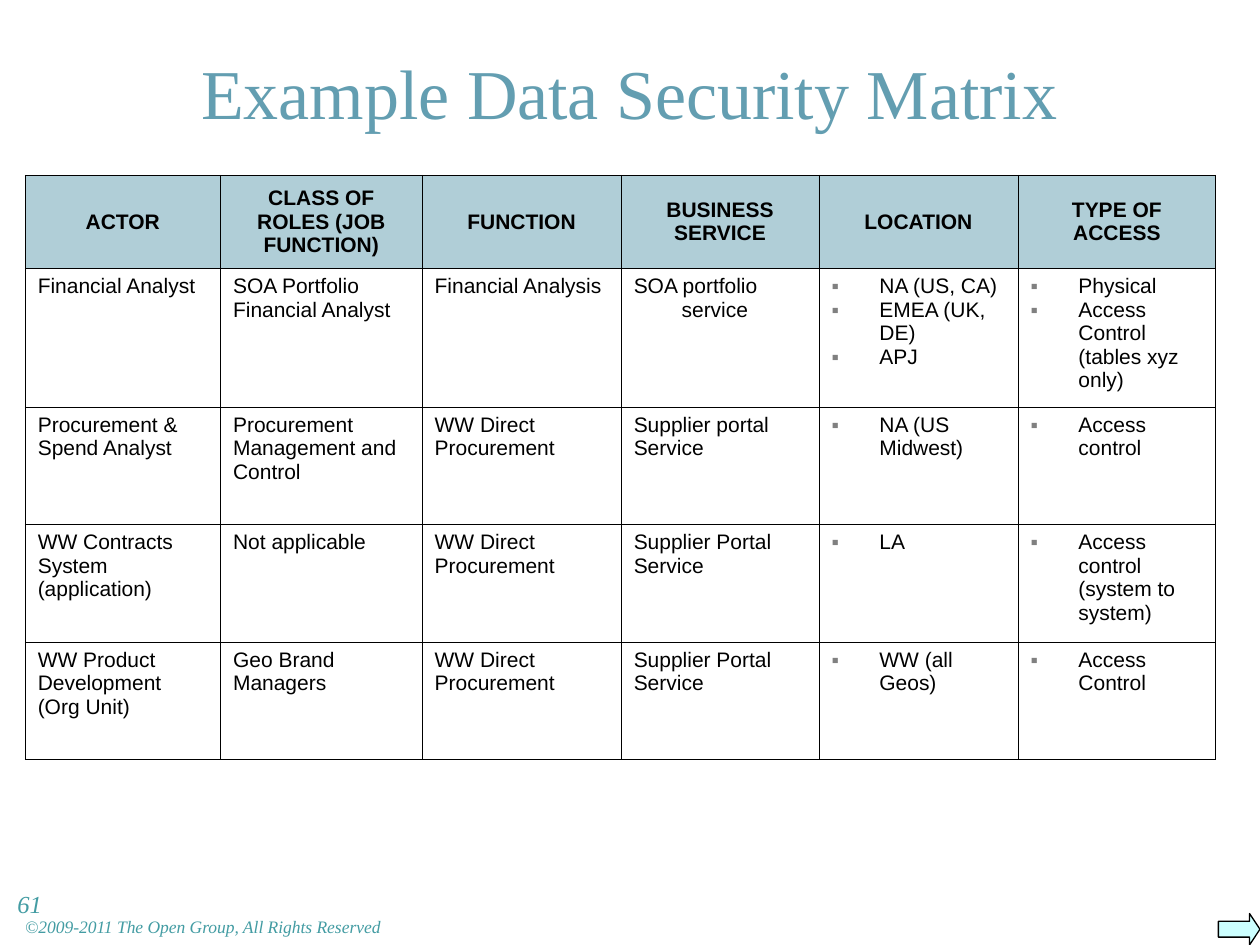
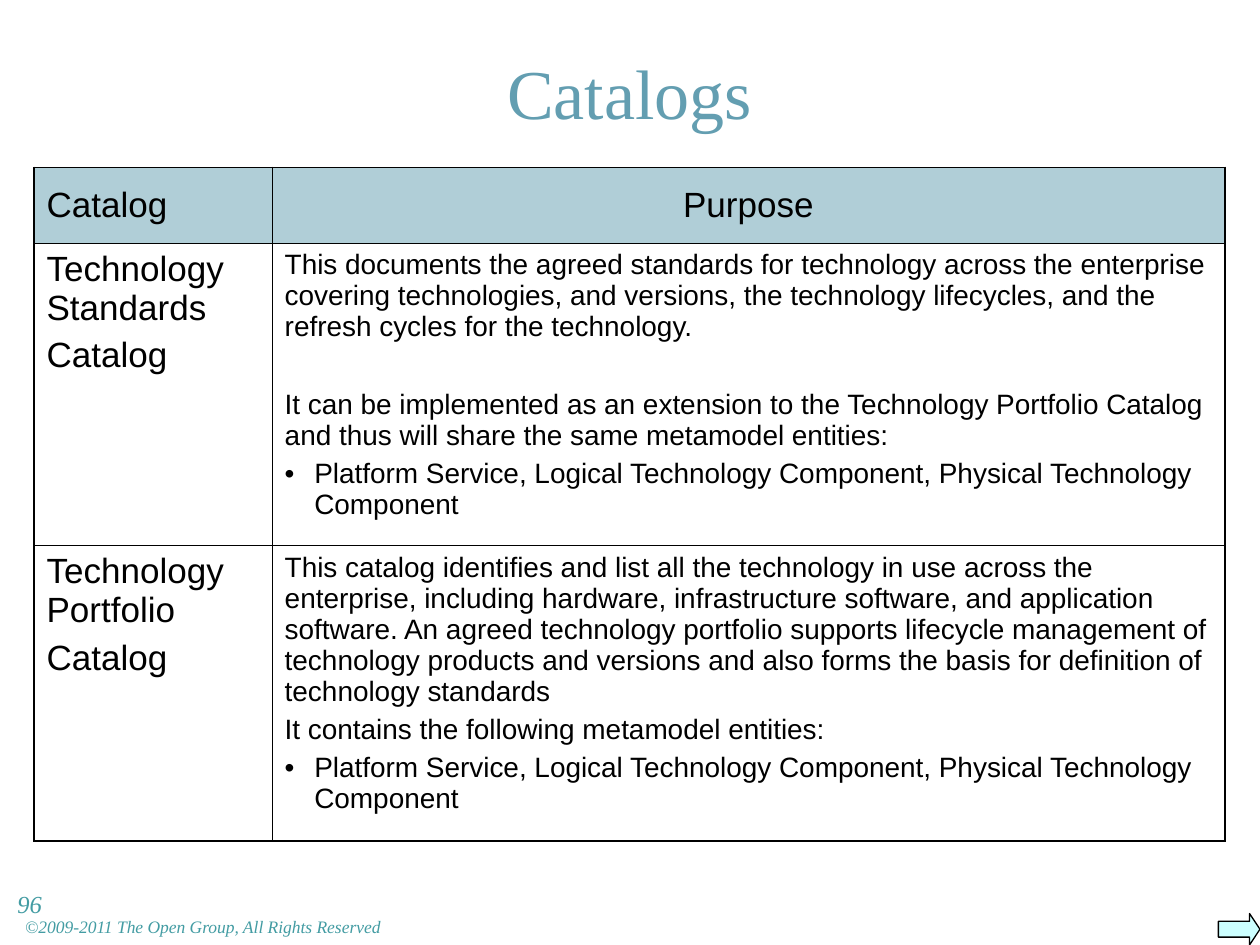
from lxml.etree import SubElement
from pptx import Presentation
from pptx.dml.color import RGBColor
from pptx.enum.shapes import MSO_SHAPE as Shape
from pptx.enum.text import MSO_ANCHOR as Anchor, PP_ALIGN as Align
from pptx.oxml import parse_xml
from pptx.oxml.ns import nsdecls, qn
from pptx.util import Inches, Pt

# Colours
BLUE = RGBColor(0x63, 0x9E, 0xB1)
TEAL = RGBColor(0x43, 0x9C, 0xA3)
AQUA = RGBColor(0xCC, 0xFF, 0xFF)
GREY = RGBColor(0x80, 0x80, 0x80)
BLACK = RGBColor(0, 0, 0)

# Grid of square units
COLUMNS, ROWS = 100, 75
WIDTH, HEIGHT = Inches(10), Inches(7.5)

# Text formats: "font" and "para" hold attributes, "hang" is in columns
SERIF, SANS = "Times New Roman", "Arial"
TITLE = {"font": {"name": SERIF, "size": Pt(40)}, "colour": BLUE,
         "para": {"alignment": Align.CENTER}}
COPYRIGHT = {"font": {"name": SERIF, "size": Pt(10), "italic": True}, "colour": TEAL}
NUMBER = {"font": {"name": SERIF, "size": Pt(14), "italic": True}, "colour": TEAL}

MATRIX_TEXT = {"font": {"name": SANS, "size": Pt(12)}, "hang": 3.8}
MATRIX_LIST = MATRIX_TEXT | {"bullet": ("▪", GREY)}
MATRIX_HEAD = {"font": {"name": SANS, "size": Pt(12), "bold": True},
               "para": {"alignment": Align.CENTER}}

CATALOG_NAME = {"font": {"name": SANS, "size": Pt(20)}, "para": {"space_before": Pt(5)}}
CATALOG_HEAD = CATALOG_NAME | {"para": {"alignment": Align.CENTER}}
PURPOSE = {"font": {"name": SANS, "size": Pt(16)}, "para": {"space_before": Pt(4)}}
PURPOSE_APART = PURPOSE | {"para": {"space_before": Pt(26.4)}}
PURPOSE_LIST = PURPOSE | {"hang": 2.35, "bullet": ("•", BLACK)}


def styled(style, *lines):
    """Pair each line with one text format."""
    return [(line, style) for line in lines]


class Deck:
    def __init__(self):
        self.file = Presentation()
        self.file.slide_width, self.file.slide_height = WIDTH, HEIGHT
        self.page = None

    def x(self, columns):
        return round(WIDTH * columns / COLUMNS)

    def y(self, rows):
        return round(HEIGHT * rows / ROWS)

    def area(self, left, top, width, height):
        return self.x(left), self.y(top), self.x(width), self.y(height)

    def add_page(self, title, number):
        self.page = self.file.slides.add_slide(self.file.slide_layouts[6])
        self.text((2.7, -0.1, 94.5, 14.8), title, TITLE, anchor=Anchor.MIDDLE)
        self.next_arrow()
        self.text((2, 72.2, 73.2, 2.4), "©2009-2011 The Open Group, All Rights Reserved",
                  COPYRIGHT, inset=0)
        self.text((0.4, 70.1, 11.8, 5.2), str(number), NUMBER)

    def text(self, area, words, style, anchor=Anchor.TOP, inset=1):
        frame = self.page.shapes.add_textbox(*self.area(*area)).text_frame
        frame.word_wrap = True
        frame.vertical_anchor = anchor
        frame.margin_left = self.x(inset)
        self.set_lines(frame, styled(style, words))

    def next_arrow(self):
        arrow = self.page.shapes.add_shape(Shape.RIGHT_ARROW,
                                           *self.area(96.7, 72.5, 3.3, 2.5))
        arrow.adjustments[1] = 0.33
        arrow.shadow.inherit = False
        arrow.fill.solid()
        arrow.fill.fore_color.rgb = AQUA
        arrow.line.color.rgb = BLACK
        arrow.line.width = Pt(0.75)

    def set_lines(self, frame, lines):
        for index, (words, style) in enumerate(lines):
            para = frame.add_paragraph() if index else frame.paragraphs[0]
            self.indent(para, style)
            for name, value in style.get("para", {}).items():
                if index or name != "space_before":
                    setattr(para, name, value)
            span = para.add_run()
            span.text = words
            for name, value in style["font"].items():
                setattr(span.font, name, value)
            span.font.color.rgb = style.get("colour", BLACK)

    def indent(self, para, style):
        props = para._p.get_or_add_pPr()
        if "hang" in style:
            hang = self.x(style["hang"])
            props.set("marL", str(hang))
            props.set("indent", str(-hang))
        if "bullet" in style:
            mark, colour = style["bullet"]
            SubElement(SubElement(props, qn("a:buClr")), qn("a:srgbClr"), val=str(colour))
            SubElement(props, qn("a:buFont"), typeface=SANS)
            SubElement(props, qn("a:buChar"), char=mark)

    def table(self, left, top, widths, heights, content, outer):
        area = self.area(left, top, sum(widths), sum(heights))
        table = self.page.shapes.add_table(len(heights), len(widths), *area).table
        table.first_row = table.horz_banding = False
        for column, width in zip(table.columns, widths):
            column.width = self.x(width)
        for row, height in zip(table.rows, heights):
            row.height = self.y(height)
        last_row, last_column = len(heights) - 1, len(widths) - 1
        for r, line in enumerate(content):
            for c, lines in enumerate(line):
                cell = table.cell(r, c)
                self.set_lines(cell.text_frame, lines)
                self.fill(cell, header=r == 0)
                edges = {"L": c == 0, "R": c == last_column, "T": r == 0, "B": r == last_row}
                self.borders(cell, edges, outer)

    def fill(self, cell, header):
        if not header:
            cell.fill.background()
            return
        cell.vertical_anchor = Anchor.MIDDLE
        cell.fill.solid()
        cell.fill.fore_color.rgb = BLUE
        colour = cell._tc.tcPr.find(".//" + qn("a:srgbClr"))
        SubElement(colour, qn("a:alpha"), val="50000")

    def borders(self, cell, edges, outer):
        for index, (side, is_outer) in enumerate(edges.items()):
            width = Pt(outer if is_outer else 0.45)
            cell._tc.tcPr.insert(index, parse_xml(
                f'<a:ln{side} {nsdecls("a")} w="{width}"><a:solidFill>'
                f'<a:srgbClr val="{BLACK}"/></a:solidFill></a:ln{side}>'))


# Security matrix: one list of lines per cell
MATRIX_HEADERS = [["ACTOR"], ["CLASS OF", "ROLES (JOB", "FUNCTION)"], ["FUNCTION"],
                  ["BUSINESS", "SERVICE"], ["LOCATION"], ["TYPE OF", "ACCESS"]]
DIRECT = ["WW Direct", "Procurement"]
MATRIX_ROWS = [
    [["Financial Analyst"], ["SOA Portfolio", "Financial Analyst"], ["Financial Analysis"],
     ["SOA portfolio service"], ["NA (US, CA)", "EMEA (UK, DE)", "APJ"],
     ["Physical", "Access Control (tables xyz only)"]],
    [["Procurement &", "Spend Analyst"], ["Procurement", "Management and", "Control"], DIRECT,
     ["Supplier portal", "Service"], ["NA (US Midwest)"], ["Access control"]],
    [["WW Contracts", "System", "(application)"], ["Not applicable"], DIRECT,
     ["Supplier Portal", "Service"], ["LA"], ["Access control (system to system)"]],
    [["WW Product", "Development", "(Org Unit)"], ["Geo Brand", "Managers"], DIRECT,
     ["Supplier Portal", "Service"], ["WW (all Geos)"], ["Access Control"]],
]
MATRIX_STYLES = [MATRIX_TEXT] * 4 + [MATRIX_LIST] * 2

# Catalogs and their purposes
ENTITIES = styled(PURPOSE_LIST, "Platform Service, Logical Technology Component, "
                  "Physical Technology Component")
CATALOGS = [
    [styled(CATALOG_NAME, "Catalog"), styled(CATALOG_HEAD, "Purpose")],
    [styled(CATALOG_NAME, "Technology Standards", "Catalog"),
     styled(PURPOSE, "This documents the agreed standards for technology across the "
            "enterprise covering technologies, and versions, the technology lifecycles, "
            "and the refresh cycles for the technology.")
     + styled(PURPOSE_APART, "It can be implemented as an extension to the Technology "
              "Portfolio Catalog and thus will share the same metamodel entities:")
     + ENTITIES],
    [styled(CATALOG_NAME, "Technology Portfolio", "Catalog"),
     styled(PURPOSE, "This catalog identifies and list all the technology in use across "
            "the enterprise, including hardware, infrastructure software, and application "
            "software. An agreed technology portfolio supports lifecycle management of "
            "technology products and versions and also forms the basis for definition of "
            "technology standards",
            "It contains the following metamodel entities:")
     + ENTITIES],
]


def main():
    deck = Deck()

    # Data security matrix
    deck.add_page("Example Data Security Matrix", 61)
    matrix = [[styled(MATRIX_HEAD, *lines) for lines in MATRIX_HEADERS]]
    matrix += [[styled(style, *lines) for style, lines in zip(MATRIX_STYLES, row)]
               for row in MATRIX_ROWS]
    deck.table(2, 13.9, [15.5, 16, 15.8, 15.7, 15.8, 15.7], [7.4, 11] + [9.33] * 3,
               matrix, outer=0.45)

    # Catalogs
    deck.add_page("Catalogs", 96)
    deck.table(2.7, 13.3, [18.9, 75.6], [6, 24, 23.4], CATALOGS, outer=1.08)

    deck.file.save("out.pptx")


if __name__ == "__main__":
    main()
